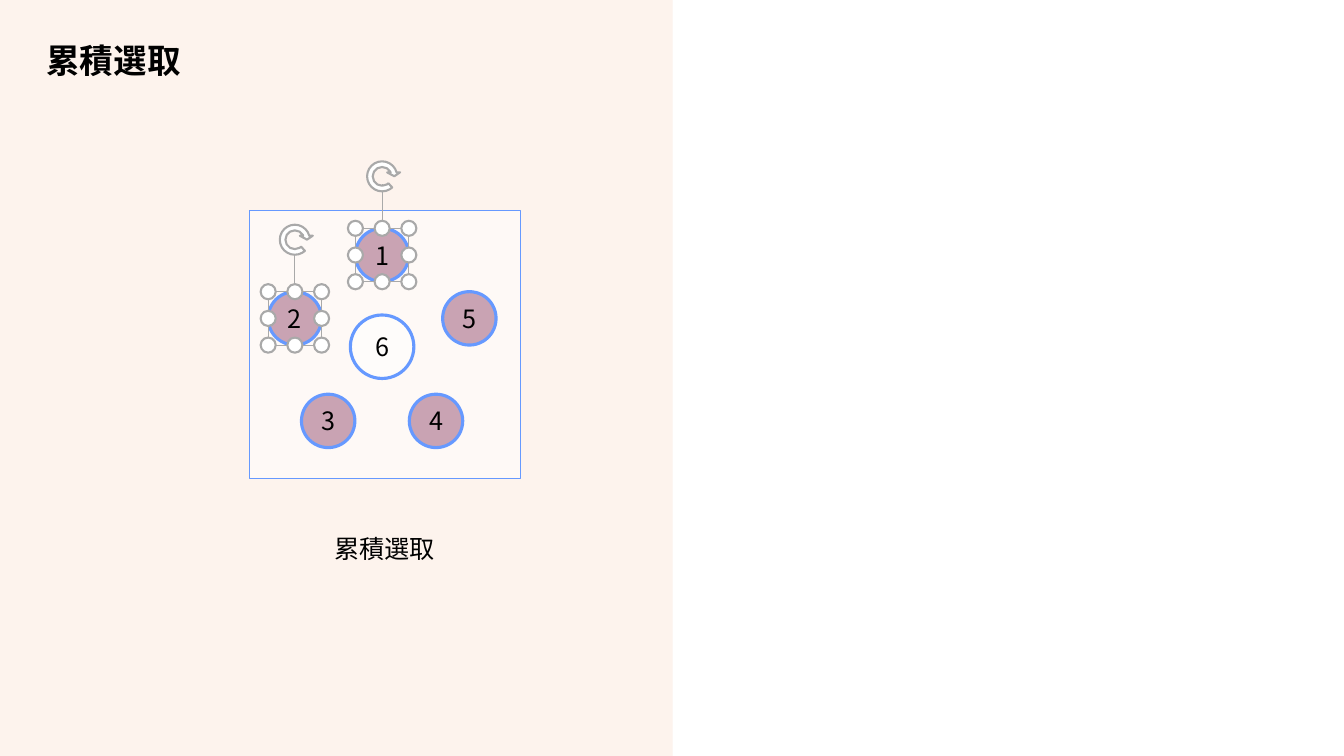
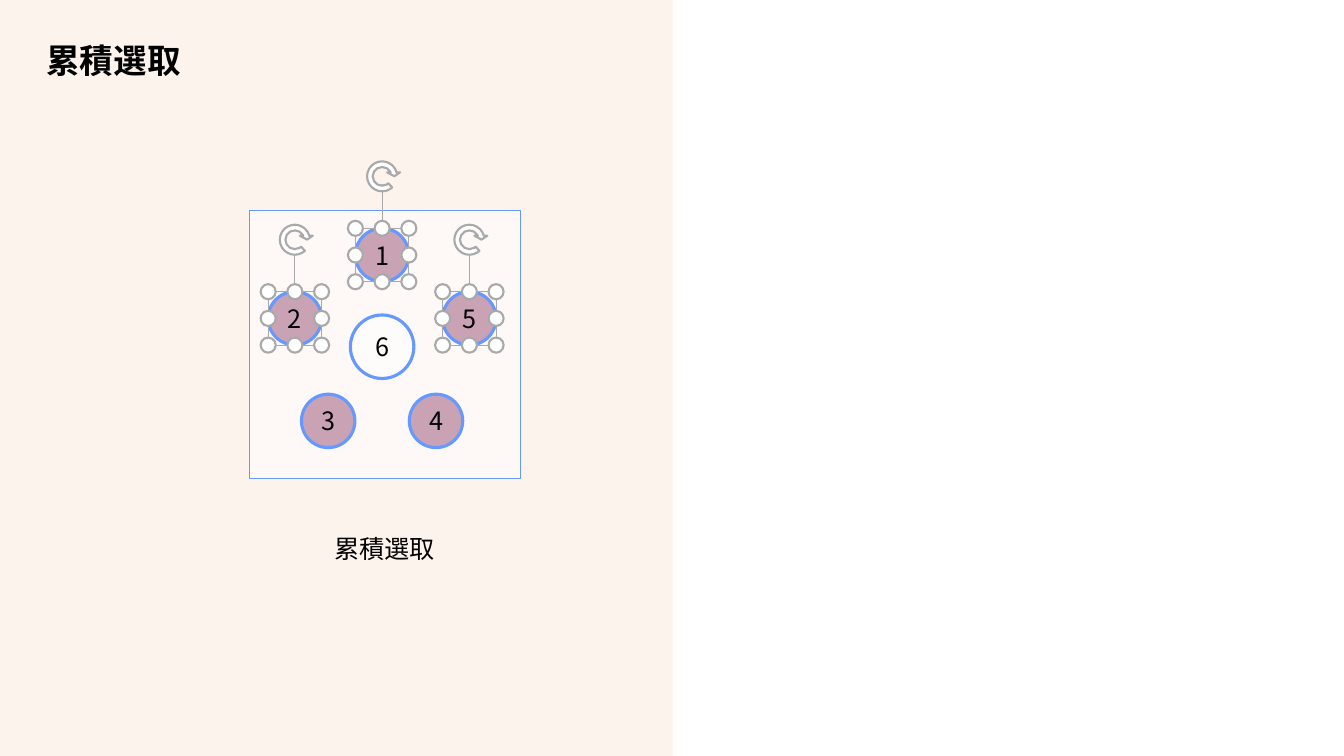
import math

import pptx
import pptx.dml.color
import pptx.enum.shapes
import pptx.enum.text
import pptx.oxml
import pptx.oxml.ns
import pptx.util

Inches, Pt = pptx.util.Inches, pptx.util.Pt
RGBColor = pptx.dml.color.RGBColor
SHAPE = pptx.enum.shapes.MSO_SHAPE
ALIGN = pptx.enum.text.PP_ALIGN
qn = pptx.oxml.ns.qn

WHITE = RGBColor(0xFF, 0xFF, 0xFF)
BLACK = RGBColor(0x00, 0x00, 0x00)
ORANGE = RGBColor(0xF4, 0xB1, 0x83)
PEACH = RGBColor(0xFB, 0xE5, 0xD6)
BLUE = RGBColor(0x66, 0x99, 0xFF)
PLUM = RGBColor(0x95, 0x4F, 0x72)
GREY = RGBColor(0xA9, 0xA9, 0xA9)

SANS = "Noto Sans CJK SC"
SERIF = "Times New Roman"
LABEL = "累積選取"

DOT = 0.53
CENTRE_DOT = 0.63
RING_RADIUS = 0.91
HANDLE = 0.15
ROTATE_ICON = 0.37
ROTATE_ADJUSTMENTS = (0.151, 11.194, 204.552, 28.68, 0.173)


def fade(shape, percent):
    """Make the first colour of a shape partly transparent."""
    colour = shape.element.find(".//" + qn("a:srgbClr"))
    colour.append(colour.makeelement(qn("a:alpha"), {"val": str(percent * 1000)}))


def add_shape(shapes, kind, box, fill=None, opacity=100, line=None, weight=0):
    shape = shapes.add_shape(kind, *map(Inches, box))
    shape.shadow.inherit = False
    if fill is None:
        shape.fill.background()
    else:
        shape.fill.solid()
        shape.fill.fore_color.rgb = fill
        if opacity < 100:
            fade(shape, opacity)
    if line is None:
        shape.line.fill.background()
    else:
        shape.line.color.rgb = line
        shape.line.width = Pt(weight)
    return shape


def add_centred(shapes, kind, x, y, size, **style):
    return add_shape(shapes, kind, (x - size / 2, y - size / 2, size, size), **style)


def add_line(shapes, start, end, colour, weight):
    line = shapes.add_connector(pptx.enum.shapes.MSO_CONNECTOR.STRAIGHT,
                                *map(Inches, (*start, *end)))
    line.line.color.rgb = colour
    line.line.width = Pt(weight)
    properties = line.element.find(qn("p:spPr"))
    properties.append(properties.makeelement(qn("a:effectLst"), {}))
    return line


def write(shape, text, size, font=SANS, align=ALIGN.CENTER, wrap=False, bold=False):
    frame = shape.text_frame
    frame.word_wrap = wrap
    frame.auto_size = pptx.enum.text.MSO_AUTO_SIZE.NONE
    frame.vertical_anchor = pptx.enum.text.MSO_ANCHOR.MIDDLE
    para = frame.paragraphs[0]
    para.alignment = align
    span = para.add_run()
    span.text = text
    span.font.name = font
    span.font.size = Pt(size)
    span.font.bold = bold
    span.font.color.rgb = BLACK
    latin = shape.element.find(".//" + qn("a:latin"))
    latin.addnext(latin.makeelement(qn("a:ea"), {"typeface": SANS}))
    return para


def decorate_layout(layout, page):
    """Build the left band and its edge on a page, then move them to the layout."""
    band = add_shape(page.shapes, SHAPE.RECTANGLE, (0, 0, 6.67, 7.5), ORANGE, 14)
    edge = add_line(page.shapes, (6.67, 7.5), (6.67, 0), PEACH, 0.25)
    fade(edge, 50)
    for position, part in enumerate((band, edge), start=2):
        layout.shapes.element.insert(position, part.element)


def add_title(page, box):
    title = page.shapes.title
    title.left, title.top, title.width, title.height = map(Inches, box)
    para = write(title, LABEL, 24, align=ALIGN.LEFT, bold=True)
    para.line_spacing = 0.9


def add_selection(page, x, y):
    """Draw a frame with eight handles and a rotation icon around a dot."""
    shapes = page.shapes.add_group_shape().shapes
    handle_style = dict(fill=WHITE, line=GREY, weight=1.5)
    add_centred(shapes, SHAPE.RECTANGLE, x, y, DOT, line=GREY, weight=0.5)
    for row in (-1, 0, 1):
        for column in (-1, 0, 1):
            if row or column:
                add_centred(shapes, SHAPE.OVAL, x + column * DOT / 2,
                            y + row * DOT / 2, HANDLE, **handle_style)
    add_line(shapes, (x, y - 0.34), (x, y - 0.7), GREY, 0.5)
    icon = add_centred(shapes, SHAPE.CIRCULAR_ARROW, x, y - 0.78, ROTATE_ICON,
                       **handle_style)
    for index, value in enumerate(ROTATE_ADJUSTMENTS):
        icon.adjustments[index] = value


def add_diagram(page, box, selected):
    """Draw five dots in a ring around a sixth, and frame the selected ones."""
    left, top = box[:2]
    add_shape(page.shapes, SHAPE.RECTANGLE, box, WHITE, 50, BLUE, 0.75)
    centre_x, centre_y = left + 1.32, top + 1.35
    dot_style = dict(opacity=50, line=BLUE, weight=2.25)
    places = {}
    for number in range(1, 6):
        angle = math.radians(72 * (number - 1))
        x = centre_x - RING_RADIUS * math.sin(angle)
        y = centre_y - RING_RADIUS * math.cos(angle)
        places[number] = x, y
        dot = add_centred(page.shapes, SHAPE.OVAL, x, y, DOT, fill=PLUM, **dot_style)
        write(dot, str(number), 18)
    middle = add_centred(page.shapes, SHAPE.OVAL, centre_x, centre_y, CENTRE_DOT,
                         fill=WHITE, **dot_style)
    write(middle, "6", 18)
    for number in selected:
        add_selection(page, *places[number])


def add_caption(page, box):
    caption = page.shapes.add_textbox(*map(Inches, box))
    write(caption, LABEL, 18, font=SERIF, wrap=True)


def main():
    deck = pptx.Presentation()
    deck.slide_width, deck.slide_height = Inches(13.33), Inches(7.5)
    layout = deck.slide_layouts[5]
    for selected in ((1, 2), (1, 2, 5)):
        page = deck.slides.add_slide(layout)
        if len(deck.slides) == 1:
            decorate_layout(layout, page)
        add_title(page, (0.36, 0.4, 5.95, 0.44))
        add_diagram(page, (2.47, 2.09, 2.69, 2.66), selected)
        add_caption(page, (2.9, 5.18, 1.83, 0.52))
    deck.save("out.pptx")


if __name__ == "__main__":
    main()
